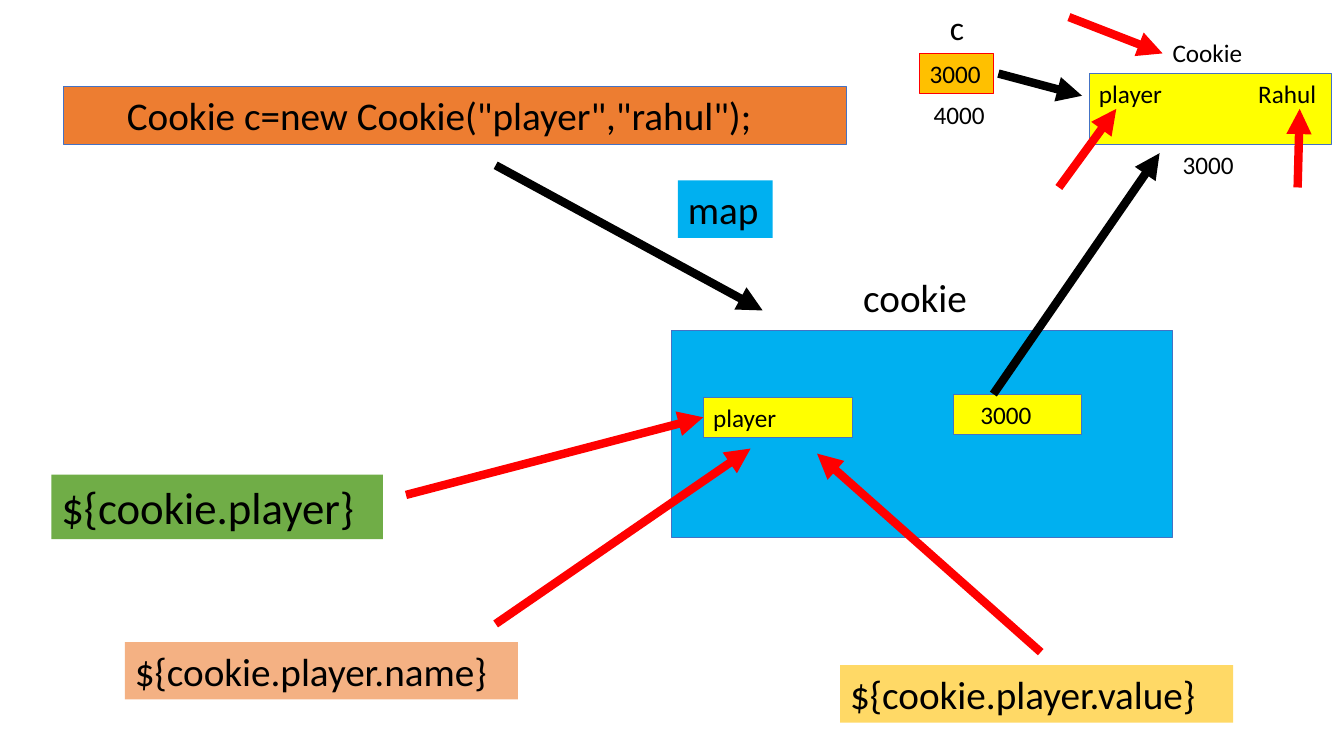
from dataclasses import dataclass

from lxml import etree
from pptx import Presentation
from pptx import util as u
from pptx.dml.color import RGBColor
from pptx.enum import shapes, text
from pptx.oxml import ns
from pptx.slide import Slide

COLUMNS, ROWS = 133.4, 75
CELL = u.Inches(0.1)
FONT = "Calibri"
COLORS = {
    "black": "000000", "red": "FF0000", "blue": "4472C4", "sky": "00B0F0",
    "yellow": "FFFF00", "gold": "FFC000", "sand": "FFD966",
    "orange": "ED7D31", "peach": "F4B183", "green": "70AD47",
}


@dataclass(frozen=True)
class Box:
    column: float
    row: float
    columns: float
    rows: float
    label: str = ""
    size: int = 18
    fill: str = ""
    outline: str = ""
    inset: float = 1
    tab: float = 0


@dataclass(frozen=True)
class Arrow:
    start: tuple[float, float]
    end: tuple[float, float]
    color: str = "red"


BOXES = [
    Box(6.3, 8.6, 77.7, 5.7, 'Cookie c=new Cookie("player","rahul");', 28, "orange", "blue", inset=6.3),
    Box(66.7, 32.8, 49.7, 20.5, fill="sky", outline="blue"),
    Box(84.7, 26.6, 13.3, 5.7, "cookie", 28),
    Box(69.8, 39.4, 14.8, 4, "player", fill="yellow", outline="blue"),
    Box(94.6, 39.1, 12.8, 4, "3000", fill="yellow", outline="blue", inset=2.7),
    Box(67.3, 17.9, 9.4, 5.7, "map", 28, "sky"),
    Box(5.1, 47.1, 32.9, 6.4, "${cookie.player}", 32, "green"),
    Box(12.4, 63.7, 39, 5.7, "${cookie.player.name}", 28, "peach"),
    Box(83.4, 66, 39, 5.7, "${cookie.player.value}", 28, "sand"),
    Box(115.4, 3.2, 9.4, 4, "Cookie"),
    Box(108.1, 7.3, 24.1, 7, "player\tRahul", fill="yellow", outline="blue", tab=15.8),
    Box(116.4, 14.3, 9.4, 4, "3000"),
    Box(91.3, 5.3, 7.3, 4, "3000", fill="gold", outline="red"),
    Box(93.3, 0.2, 4.7, 5, "c", 24),
    Box(91.7, 9.4, 9.4, 4, "4000"),
]

ARROWS = [
    Arrow((49.2, 16.4), (75.7, 30.8), "black"),
    Arrow((40.3, 49.1), (69.8, 41.4)),
    Arrow((99.1, 7.3), (107.4, 9.5), "black"),
    Arrow((98.6, 39.1), (115.1, 15.2), "black"),
    Arrow((106.1, 1.7), (115.4, 5.3)),
    Arrow((105.1, 18.6), (110.8, 10.8)),
    Arrow((128.8, 18.6), (129, 10.8)),
    Arrow((49.2, 61.9), (74.5, 44.5)),
    Arrow((103.3, 64.7), (81.1, 45)),
]


def cells(count: float) -> u.Emu:
    return u.Emu(round(count * CELL))


def color(name: str) -> RGBColor:
    return RGBColor.from_string(COLORS[name])


def draw_box(slide: Slide, box: Box) -> None:
    bounds = [cells(n) for n in (box.column, box.row, box.columns, box.rows)]
    if box.fill:
        panel = slide.shapes.add_shape(shapes.MSO_SHAPE.RECTANGLE, *bounds)
        panel.shadow.inherit = False
        panel.fill.solid()
        panel.fill.fore_color.rgb = color(box.fill)
        if box.outline:
            panel.line.color.rgb = color(box.outline)
            panel.line.width = u.Pt(0.75)
        else:
            panel.line.fill.background()
    else:
        panel = slide.shapes.add_textbox(*bounds)
    if box.label:
        write_label(panel.text_frame, box)


def write_label(frame, box: Box) -> None:
    frame.word_wrap = True
    frame.vertical_anchor = text.MSO_ANCHOR.TOP
    frame.margin_left = cells(box.inset)
    frame.margin_right = cells(1)
    frame.margin_top = frame.margin_bottom = cells(0.5)
    frame.text = box.label
    paragraph = frame.paragraphs[0]
    paragraph.alignment = text.PP_ALIGN.LEFT
    if box.tab:
        stops = etree.SubElement(paragraph._p.get_or_add_pPr(), ns.qn("a:tabLst"))
        etree.SubElement(stops, ns.qn("a:tab"), pos=str(cells(box.tab)), algn="l")
    for run in paragraph.runs:
        run.font.name = FONT
        run.font.size = u.Pt(box.size)
        run.font.color.rgb = color("black")


def draw_arrow(slide: Slide, arrow: Arrow) -> None:
    ends = [cells(n) for n in (*arrow.start, *arrow.end)]
    connector = slide.shapes.add_connector(shapes.MSO_CONNECTOR.STRAIGHT, *ends)
    connector.line.color.rgb = color(arrow.color)
    connector.line.width = u.Pt(6)
    etree.SubElement(connector.line._get_or_add_ln(), ns.qn("a:tailEnd"), type="triangle")
    etree.SubElement(connector._element.spPr, ns.qn("a:effectLst"))


def main() -> None:
    deck = Presentation()
    deck.slide_width, deck.slide_height = cells(COLUMNS), cells(ROWS)
    slide = deck.slides.add_slide(deck.slide_layouts[6])
    for box in BOXES:
        draw_box(slide, box)
    for arrow in ARROWS:
        draw_arrow(slide, arrow)
    deck.save("out.pptx")


if __name__ == "__main__":
    main()
